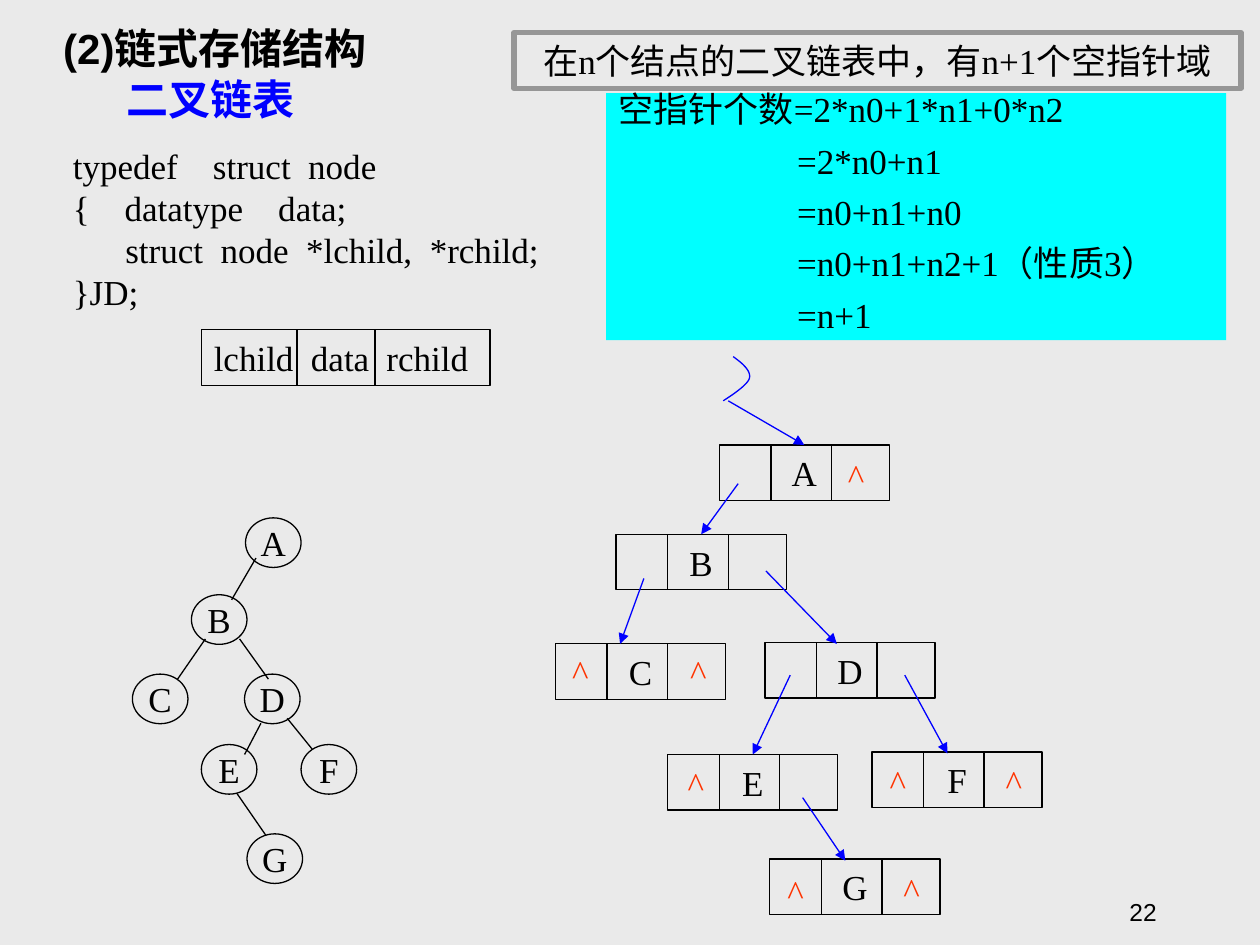
from pptx import Presentation
from pptx.dml.color import RGBColor
from pptx.enum.shapes import MSO_CONNECTOR, MSO_SHAPE
from pptx.enum.text import MSO_ANCHOR, MSO_AUTO_SIZE, PP_ALIGN
from pptx.oxml.ns import qn
from pptx.util import Cm, Pt
from lxml import etree

RECT, OVAL = MSO_SHAPE.RECTANGLE, MSO_SHAPE.OVAL
STRAIGHT = MSO_CONNECTOR.STRAIGHT
LEFT, CENTER, RIGHT = PP_ALIGN.LEFT, PP_ALIGN.CENTER, PP_ALIGN.RIGHT
TOP, MIDDLE, BOTTOM = MSO_ANCHOR.TOP, MSO_ANCHOR.MIDDLE, MSO_ANCHOR.BOTTOM
NO_FIT = MSO_AUTO_SIZE.NONE

COLORS = {"paper": "EAEAEA", "ink": "000000", "pointer": "0000FF",
          "null": "FF3300", "frame": "969696", "proof": "00FFFF"}
SERIF, SANS = "Times New Roman", "Arial"
NODE_SIZE = (3.43, 1.12)
NODE_DIVIDERS = (1.04, 2.26)
CIRCLE_SIZE = (1.12, 1.0)
MARK_SIZE = (0.84, 1.12)


def color(name):
    return RGBColor.from_string(COLORS[name])


def bezier(start, control1, control2, end, steps=12):
    """Points along a cubic curve, without its start."""
    points = []
    for step in range(1, steps + 1):
        t = step / steps
        weights = ((1 - t) ** 3, 3 * t * (1 - t) ** 2, 3 * t * t * (1 - t), t ** 3)
        corners = (start, control1, control2, end)
        points.append(tuple(sum(w * c[axis] for w, c in zip(weights, corners))
                            for axis in (0, 1)))
    return points


class Board:
    def __init__(self, slide):
        self.slide = slide
        self.shapes = slide.shapes
        slide.background.fill.solid()
        slide.background.fill.fore_color.rgb = color("paper")

    def put_lines(self, frame, lines, ink="ink", font=SERIF, size=20, bold=False,
                  align=CENTER, anchor=MIDDLE, wrap=False, spacing=None, before=0,
                  indent=0, tabs=()):
        """Fill a frame; indent applies to every line after the first."""
        frame.auto_size = NO_FIT
        frame.word_wrap = wrap
        frame.vertical_anchor = anchor
        for index, line in enumerate(lines):
            paragraph = frame.add_paragraph() if index else frame.paragraphs[0]
            properties = paragraph._p.get_or_add_pPr()
            if tabs:
                stops = etree.SubElement(properties, qn("a:tabLst"))
                for stop in tabs:
                    etree.SubElement(stops, qn("a:tab"), pos=str(Cm(stop)), algn="l")
            if index and indent:
                properties.set("marL", str(Cm(indent)))
            paragraph.alignment = align
            if spacing:
                paragraph.line_spacing = spacing
            if index and before:
                paragraph.space_before = Pt(before)
            run = paragraph.add_run()
            run.text = line
            run.font.name, run.font.size, run.font.bold = font, Pt(size), bold
            run.font.color.rgb = color(ink)

    def title(self, left, top, width, height, lines):
        title = self.shapes.title
        title.left, title.top, title.width, title.height = map(
            Cm, (left, top, width, height))
        self.put_lines(title.text_frame, lines, font=SANS, size=24, bold=True,
                       align=LEFT, anchor=TOP, wrap=True, spacing=0.8, before=6,
                       indent=1.27)
        title.text_frame.paragraphs[1].runs[0].font.color.rgb = color("pointer")

    def text(self, left, top, width, height, lines, **style):
        box = self.shapes.add_textbox(Cm(left), Cm(top), Cm(width), Cm(height))
        self.put_lines(box.text_frame, lines, **style)

    def shape(self, kind, left, top, width, height, lines, fill=None, line="ink",
              weight=0.75, **style):
        shape = self.shapes.add_shape(kind, Cm(left), Cm(top), Cm(width), Cm(height))
        shape.shadow.inherit = False
        if fill:
            shape.fill.solid()
            shape.fill.fore_color.rgb = color(fill)
        else:
            shape.fill.background()
        if line:
            shape.line.color.rgb = color(line)
            shape.line.width = Pt(weight)
        else:
            shape.line.fill.background()
        self.put_lines(shape.text_frame, lines, **style)
        return shape

    def line(self, start, end, ink="ink", arrow=False, target=None):
        """Straight line; target is a box whose top middle it joins."""
        line = self.shapes.add_connector(STRAIGHT, *map(Cm, (*start, *end)))
        line.line.color.rgb = color(ink)
        line.line.width = Pt(0.75)
        properties = line._element.spPr
        if arrow:
            etree.SubElement(properties.get_or_add_ln(), qn("a:tailEnd"), type="triangle")
        etree.SubElement(properties, qn("a:effectLst"))
        if target is not None:
            line.end_connect(target, 0)

    def record(self, left, top, width, height, dividers, label, **style):
        """Box split into fields by vertical dividers."""
        box = self.shape(RECT, left, top, width, height, [label], **style)
        for offset in dividers:
            self.line((left + offset, top), (left + offset, top + height))
        return box

    def curve(self, start, *segments):
        points = [start]
        for segment in segments:
            points += bezier(points[-1], *segment)
        points = [(Cm(x), Cm(y)) for x, y in points]
        builder = self.shapes.build_freeform(*points[0], scale=1.0)
        builder.add_line_segments(points[1:], close=False)
        curve = builder.convert_to_shape()
        curve.shadow.inherit = False
        curve.fill.background()
        curve.line.color.rgb = color("pointer")
        curve.line.width = Pt(0.75)


def draw_tree(board):
    circles = {"A": (4.95, 10.44), "B": (3.86, 11.99), "C": (2.67, 13.59),
               "D": (4.93, 13.59), "E": (4.06, 15.01), "F": (6.07, 15.01),
               "G": (4.98, 16.81)}
    edges = [((5.16, 11.25), (4.67, 12.09)), ((4.14, 12.88), (3.58, 13.69)),
             ((4.83, 12.88), (5.41, 13.69)), ((5.26, 14.58), (4.93, 15.21)),
             ((5.79, 14.48), (6.3, 15.11)), ((4.78, 16.0), (5.36, 16.84))]
    for letter, corner in circles.items():
        board.shape(OVAL, *corner, *CIRCLE_SIZE, [letter])
    for start, end in edges:
        board.line(start, end)


def draw_linked_list(board):
    # letter: corner, then the offsets of its null marks
    nodes = {"A": ((14.5, 8.97), [(2.34, 0.05)]),
             "B": ((12.42, 10.77), []),
             "C": ((11.2, 12.98), [(0.08, 0), (2.46, 0)]),
             "D": ((15.42, 12.95), []),
             "E": ((13.46, 15.21), [(0.15, 0.03)]),
             "F": ((17.58, 15.16), [(0.1, 0.03), (2.44, 0.03)]),
             "G": ((15.52, 17.32), [(0.1, 0.1), (2.44, 0.05)])}
    # start, end, and the node joined at its top middle
    pointers = [((14.68, 8.08), (16.18, 8.94), "A"),
                ((14.88, 9.75), (14.25, 10.77), "B"),
                ((12.98, 11.66), (12.5, 12.98), None),
                ((15.44, 11.51), (16.87, 12.98), None),
                ((15.93, 13.61), (15.14, 15.19), "E"),
                ((18.24, 13.61), (19.1, 15.19), None),
                ((16.18, 16.08), (17.04, 17.35), None)]
    boxes = {letter: board.record(*corner, *NODE_SIZE, NODE_DIVIDERS, letter)
             for letter, (corner, _) in nodes.items()}
    board.curve((14.78, 7.19),
                ((14.96, 7.32), (15.14, 7.47), (15.11, 7.62)),
                ((15.09, 7.75), (14.71, 8.0), (14.58, 8.08)))
    for start, end, letter in pointers:
        board.line(start, end, "pointer", arrow=True, target=boxes.get(letter))
    for (left, top), marks in nodes.values():
        for dx, dy in marks:
            board.text(left + dx, top + dy, *MARK_SIZE, ["^"], ink="null")


def main():
    deck = Presentation()
    deck.slide_width, deck.slide_height = Cm(25.4), Cm(19.05)
    board = Board(deck.slides.add_slide(deck.slide_layouts[5]))

    board.title(1.02, 0.53, 9.09, 2.18, ["(2)链式存储结构", "二叉链表"])
    board.text(1.22, 2.77, 9.91, 3.66,
               ["typedef    struct  node",
                "{    datatype    data;",
                "      struct  node  *lchild,  *rchild;",
                "}JD;"], align=LEFT)
    board.record(4.06, 6.65, 5.82, 1.12, (1.93, 3.5), "lchild\tdata\trchild",
                 align=LEFT, wrap=True, tabs=(1.96, 3.48))
    draw_tree(board)
    board.shape(RECT, 10.36, 0.66, 14.66, 1.12,
                ["在n个结点的二叉链表中，有n+1个空指针域"], line="frame", weight=3)
    draw_linked_list(board)
    board.shape(RECT, 12.22, 1.88, 12.5, 4.98,
                ["空指针个数=2*n0+1*n1+0*n2", "=2*n0+n1", "=n0+n1+n0",
                 "=n0+n1+n2+1（性质3）", "=n+1"],
                fill="proof", line=None, align=LEFT, anchor=TOP, wrap=True,
                spacing=0.7, before=12.5, indent=3.6)
    board.text(18.29, 17.53, 5.28, 1.27, ["22"], font=SANS, size=14,
               align=RIGHT, anchor=BOTTOM, wrap=True)
    deck.save("out.pptx")


if __name__ == "__main__":
    main()
